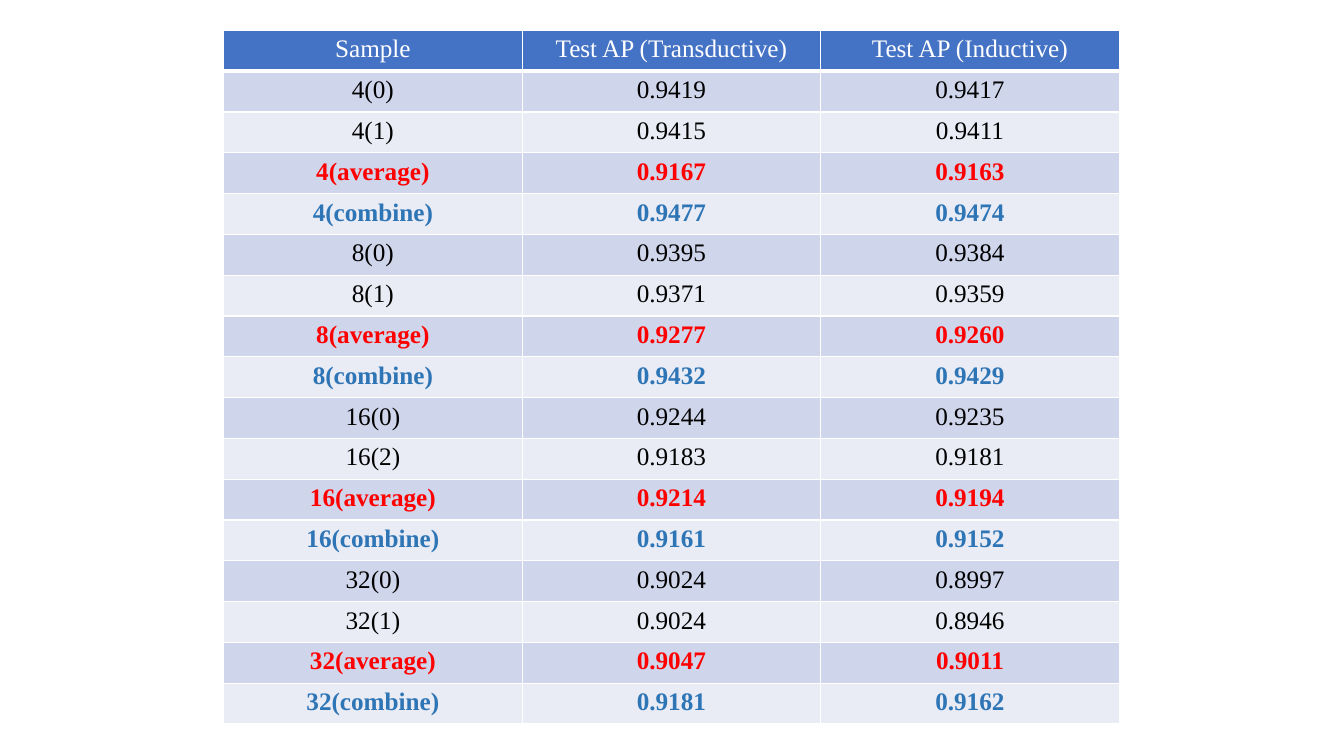
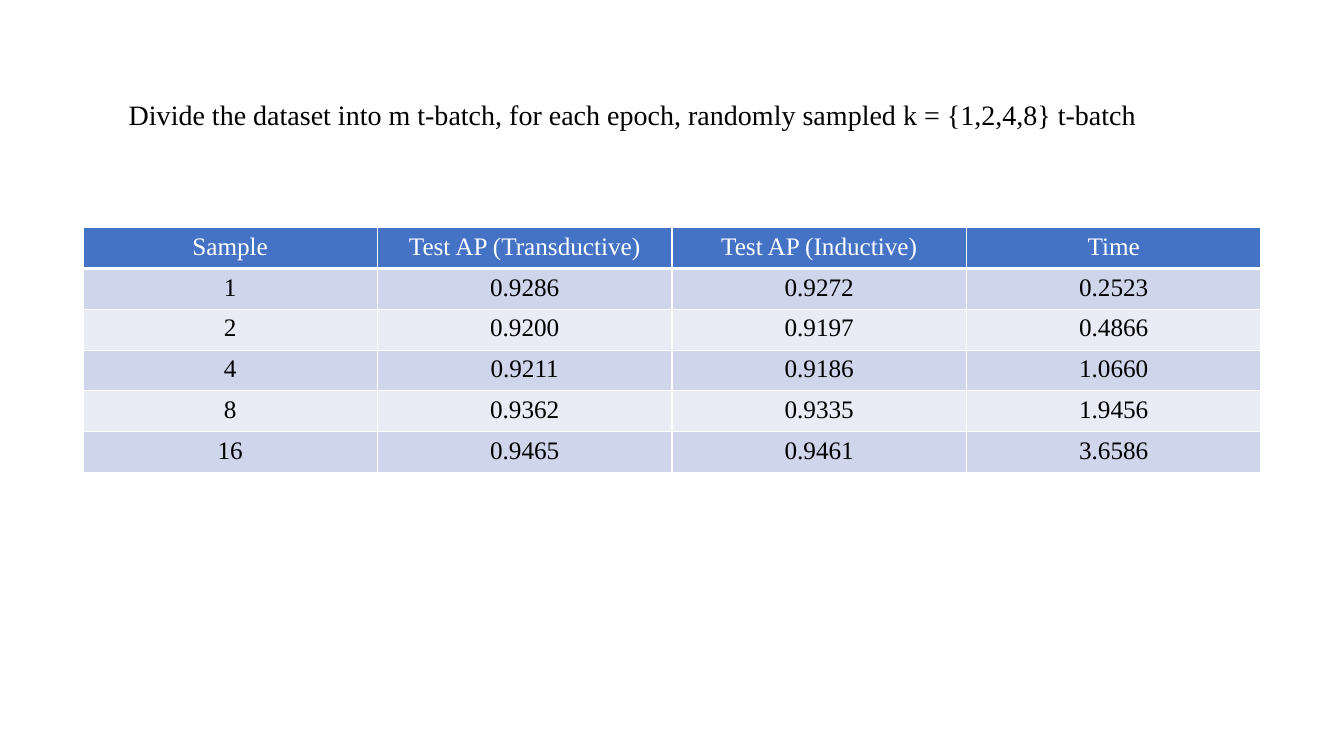
import lxml.etree
import pptx
import pptx.dml.color
import pptx.enum.text
import pptx.oxml.ns
import pptx.util

PX = 9525
FONT = "Times New Roman"
WHITE, BLACK, RED, BLUE = "FFFFFF", "000000", "FF0000", "2E75B6"
HEAD, BANDS = "4472C4", ("CFD5EA", "E9EBF5")
ALIGN = pptx.enum.text.PP_ALIGN


def color(code):
    return pptx.dml.color.RGBColor.from_string(code)


def add_grid(slide, box, rows):
    """Draw a banded table whose equal rows and columns fill box (in px)."""
    left, top, width, height = [n * PX for n in box]
    table = slide.shapes.add_table(len(rows), len(rows[0]), left, top, width, height).table
    for r, row in enumerate(rows):
        label = row[0]
        ink = WHITE if r == 0 else BLACK
        if "average" in label:
            ink = RED
        elif "combine" in label:
            ink = BLUE
        for c, text in enumerate(row):
            cell = table.cell(r, c)
            props = cell._tc.get_or_add_tcPr()
            for side in "LRTB":
                points = 3 if r == 0 and side == "B" else 1
                line = lxml.etree.SubElement(props, pptx.oxml.ns.qn("a:ln" + side),
                                             w=str(pptx.util.Pt(points)))
                fill = lxml.etree.SubElement(line, pptx.oxml.ns.qn("a:solidFill"))
                lxml.etree.SubElement(fill, pptx.oxml.ns.qn("a:srgbClr"), val=WHITE)
            cell.fill.solid()
            cell.fill.fore_color.rgb = color(BANDS[(r - 1) % 2] if r else HEAD)
            cell.text = text
            para = cell.text_frame.paragraphs[0]
            para.alignment = ALIGN.CENTER
            para.font.name = FONT
            para.font.size = pptx.util.Pt(18)
            para.font.bold = ink in (RED, BLUE)
            para.font.color.rgb = color(ink)


deck = pptx.Presentation()
deck.slide_width, deck.slide_height = 1280 * PX, 720 * PX
TITLE_ONLY, BLANK = deck.slide_layouts[5], deck.slide_layouts[6]
heads = ("Sample", "Test AP (Transductive)", "Test AP (Inductive)")

# Slide 1: results by sample
slide = deck.slides.add_slide(BLANK)
add_grid(slide, (213, 29, 853, 661), [
    heads,
    ("4(0)", "0.9419", "0.9417"),
    ("4(1)", "0.9415", "0.9411"),
    ("4(average)", "0.9167", "0.9163"),
    ("4(combine)", "0.9477", "0.9474"),
    ("8(0)", "0.9395", "0.9384"),
    ("8(1)", "0.9371", "0.9359"),
    ("8(average)", "0.9277", "0.9260"),
    ("8(combine)", "0.9432", "0.9429"),
    ("16(0)", "0.9244", "0.9235"),
    ("16(2)", "0.9183", "0.9181"),
    ("16(average)", "0.9214", "0.9194"),
    ("16(combine)", "0.9161", "0.9152"),
    ("32(0)", "0.9024", "0.8997"),
    ("32(1)", "0.9024", "0.8946"),
    ("32(average)", "0.9047", "0.9011"),
    ("32(combine)", "0.9181", "0.9162"),
])

# Slide 2: random sampling of batches
slide = deck.slides.add_slide(TITLE_ONLY)
title = slide.shapes.title
title.left, title.top, title.width, title.height = [n * PX for n in (113, 88, 1054, 42)]
frame = title.text_frame
frame.text = ("Divide the dataset into m t-batch, for each epoch, "
              "randomly sampled k = {1,2,4,8} t-batch")
frame.word_wrap = True
frame.auto_size = pptx.enum.text.MSO_AUTO_SIZE.NONE
frame.vertical_anchor = pptx.enum.text.MSO_ANCHOR.TOP
para = frame.paragraphs[0]
para.alignment = ALIGN.LEFT
para.font.name = FONT
para.font.size = pptx.util.Pt(20)
para.font.color.rgb = color(BLACK)

add_grid(slide, (79, 217, 1122, 233), [
    heads + ("Time",),
    ("1", "0.9286", "0.9272", "0.2523"),
    ("2", "0.9200", "0.9197", "0.4866"),
    ("4", "0.9211", "0.9186", "1.0660"),
    ("8", "0.9362", "0.9335", "1.9456"),
    ("16", "0.9465", "0.9461", "3.6586"),
])

deck.save("out.pptx")
